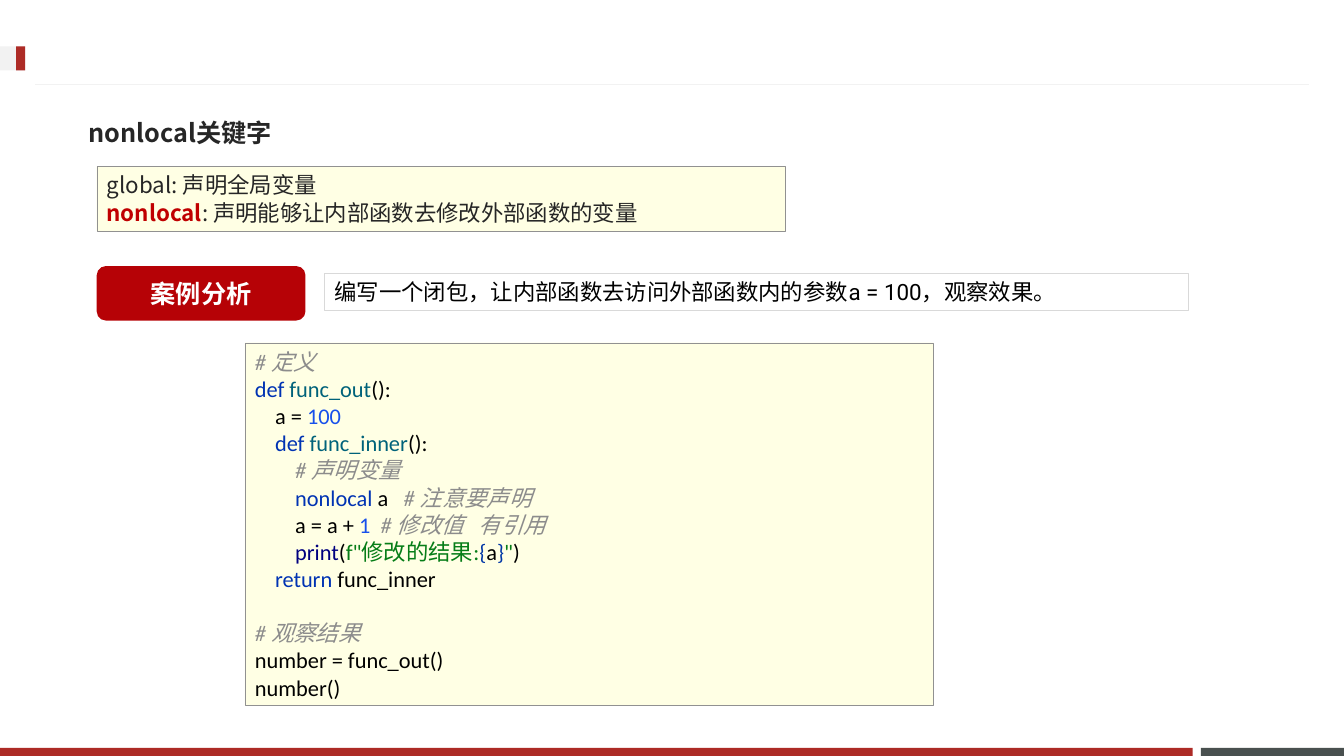
from lxml import etree
from pptx import Presentation
from pptx.dml.color import RGBColor
from pptx.enum.shapes import MSO_CONNECTOR, MSO_SHAPE
from pptx.enum.text import MSO_ANCHOR, PP_ALIGN
from pptx.oxml.ns import qn
from pptx.util import Inches, Pt

RECT, ROUND = MSO_SHAPE.RECTANGLE, MSO_SHAPE.ROUNDED_RECTANGLE
TOP, MIDDLE = MSO_ANCHOR.TOP, MSO_ANCHOR.MIDDLE
LEFT, CENTER = PP_ALIGN.LEFT, PP_ALIGN.CENTER
CJK = "Noto Sans CJK JP"
RED, DARK, PALE, CREAM = "AD2B26", "262626", "F2F2F2", "FFFFE4"
BLACK, GREY, KEYWORD, FUNC = "000000", "8C8C8C", "0033B3", "00627A"
NUMBER, BUILTIN, STRING, BRACE = "1750EB", "000080", "067D17", "0037A6"
LINE_PITCH = Pt(19.4)

prs = Presentation()
prs.slide_width, prs.slide_height = Inches(13.33), Inches(7.5)
s = prs.slides.add_slide(prs.slide_layouts[6])


def add_box(box, fill=None, line=None, width=0.75, kind=RECT):
    sp = s.shapes.add_shape(kind, *[Inches(v) for v in box])
    sp.shadow.inherit = False
    if fill:
        sp.fill.solid()
        sp.fill.fore_color.rgb = RGBColor.from_string(fill)
    else:
        sp.fill.background()
    if line:
        sp.line.color.rgb = RGBColor.from_string(line)
        sp.line.width = Pt(width)
    else:
        sp.line.fill.background()
    return sp


def write(sp, lines, size, font, bold=(), pitch=None, anchor=TOP, align=LEFT):
    tf = sp.text_frame
    tf.word_wrap = True
    tf.vertical_anchor = anchor
    for i, line in enumerate(lines):
        p = tf.paragraphs[0] if i == 0 else tf.add_paragraph()
        p.alignment = align
        if pitch:
            p.line_spacing = pitch
        for text, color in line:
            r = p.add_run()
            r.text = text
            r.font.size = Pt(size)
            r.font.name = font
            r.font.bold = text in bold
            r.font.italic = color == GREY
            r.font.color.rgb = RGBColor.from_string(color)
            ea = etree.SubElement(r.font._element, qn("a:ea"))
            ea.set("typeface", CJK)


for box, fill in [
    ((11.91, 7.42, 1.42, 0.08), "49504F"),
    ((0, 7.42, 11.83, 0.08), RED),
    ((0, 0.46, 0.25, 0.24), PALE),
    ((0.16, 0.46, 0.09, 0.24), RED),
]:
    add_box(box, fill)

rule = s.shapes.add_connector(
    MSO_CONNECTOR.STRAIGHT, Inches(0.35), Inches(0.84), Inches(12.98), Inches(0.84))
rule.line.color.rgb = RGBColor.from_string(PALE)
rule.line.width = Pt(0.75)
etree.SubElement(rule._element.spPr, qn("a:effectLst"))

title = s.shapes.add_textbox(Inches(0.78), Inches(1.03), Inches(11.7), Inches(0.57))
write(title, [[("nonlocal关键字", DARK)]], 18, CJK, bold=["nonlocal关键字"], anchor=MIDDLE)

keywords = add_box((0.96, 1.65, 6.83, 0.64), CREAM, "919191", 0.25)
write(keywords, [
    [("global: 声明全局变量", DARK)],
    [("nonlocal", "C00000"), (": 声明能够让内部函数去修改外部函数的变量", DARK)],
], 16, CJK, bold=["nonlocal"], pitch=LINE_PITCH)

task = add_box((3.22, 2.71, 8.57, 0.37), line="D9D9D9")
write(task, [[("编写一个闭包，让内部函数去访问外部函数内的参数a = 100，观察效果。", BLACK)]],
      16, "Roboto", pitch=LINE_PITCH)

label = add_box((0.96, 2.64, 2.07, 0.54), "B60206", kind=ROUND)
write(label, [[("案例分析", "FFFFFF")]], 18, "Roboto", bold=["案例分析"],
      anchor=MIDDLE, align=CENTER)

code = add_box((2.43, 3.4, 6.83, 3.6), CREAM, "919191", 0.25)
definition = [
    [("# 定义", GREY)],
    [("def ", KEYWORD), ("func_out", FUNC), ("():", BLACK)],
    [("    a = ", BLACK), ("100", NUMBER)],
    [("    def ", KEYWORD), ("func_inner", FUNC), ("():", BLACK)],
    [("        # 声明变量", GREY)],
    [("        nonlocal ", KEYWORD), ("a   ", BLACK), ("# 注意要声明", GREY)],
    [("        a = a + ", BLACK), ("1  ", NUMBER), ("# 修改值   有引用", GREY)],
    [("        print", BUILTIN), ("(", BLACK), ('f"修改的结果:', STRING), ("{", BRACE),
     ("a", BLACK), ("}", BRACE), ('"', STRING), (")", BLACK)],
    [("    return ", KEYWORD), ("func_inner", BLACK)],
]
usage = [
    [("# 观察结果", GREY)],
    [("number = func_out()", BLACK)],
    [("number()", BLACK)],
]
write(code, definition + usage, 16, "Calibri", pitch=LINE_PITCH)
code.text_frame.paragraphs[len(definition)].space_before = LINE_PITCH

prs.save("out.pptx")
